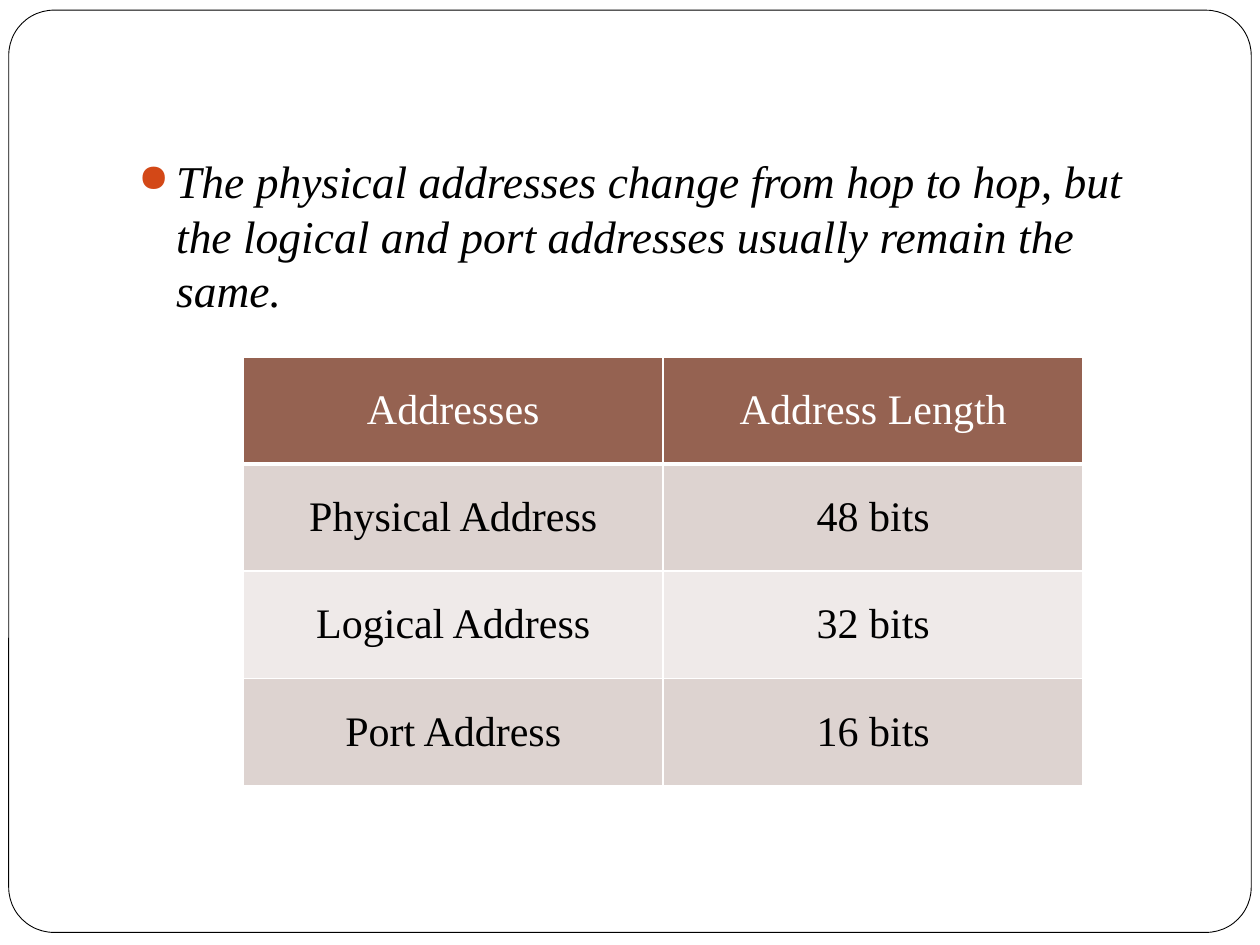
from lxml import etree
from pptx import Presentation
from pptx.dml.color import RGBColor
from pptx.enum.shapes import MSO_SHAPE
from pptx.enum.text import MSO_ANCHOR, PP_ALIGN
from pptx.oxml.ns import qn
from pptx.util import Pt

ROUNDED = MSO_SHAPE.ROUNDED_RECTANGLE
MIDDLE = MSO_ANCHOR.MIDDLE
LEFT, CENTER = PP_ALIGN.LEFT, PP_ALIGN.CENTER

STATEMENT = (
    "The physical addresses change from hop to hop, but the logical and port "
    "addresses usually remain the same."
)
ADDRESS_ROWS = [
    ("Addresses", "Address Length"),
    ("Physical Address", "48 bits"),
    ("Logical Address", "32 bits"),
    ("Port Address", "16 bits"),
]

THEME = {
    "font": "Times New Roman",
    "statement_size": 26,
    "table_size": 24,
    "white": "FFFFFF",
    "black": "000000",
    "bullet": "D34817",
    "header": "956251",
    "bands": ("DDD3D0", "EFEAE9"),
}
SLIDE_SIZE = (720, 540)
FRAME_BOX = (5, 5.8, 710, 527)
STATEMENT_BOX = (72, 84, 612, 390)
TABLE_BOX = (139, 204, 480, 244.8)
BULLET_INDENT = 21.6


def points(box):
    return [Pt(length) for length in box]


def rgb(name):
    return RGBColor.from_string(name)


def write(text_frame, text, size, color, align=LEFT, italic=False, before=0):
    paragraph = text_frame.paragraphs[0]
    paragraph.alignment = align
    paragraph.space_before = Pt(before)
    run = paragraph.add_run()
    run.text = text
    run.font.name = THEME["font"]
    run.font.size = Pt(size)
    run.font.italic = italic
    run.font.color.rgb = rgb(color)
    return paragraph


def add_bullet(paragraph, symbol, color, percent):
    properties = paragraph._p.get_or_add_pPr()
    properties.set("marL", str(Pt(BULLET_INDENT)))
    properties.set("indent", str(-Pt(BULLET_INDENT)))
    bullet_color = etree.SubElement(properties, qn("a:buClr"))
    etree.SubElement(bullet_color, qn("a:srgbClr"), val=color)
    etree.SubElement(properties, qn("a:buSzPct"), val=str(percent * 1000))
    etree.SubElement(properties, qn("a:buChar"), char=symbol)


def add_borders(cell, color, widths):
    properties = cell._tc.get_or_add_tcPr()
    for side, width in widths.items():
        border = etree.SubElement(properties, qn(f"a:ln{side}"), w=str(Pt(width)))
        fill = etree.SubElement(border, qn("a:solidFill"))
        etree.SubElement(fill, qn("a:srgbClr"), val=color)


def add_frame(slide):
    frame = slide.shapes.add_shape(ROUNDED, *points(FRAME_BOX))
    frame.adjustments[0] = 0.049
    frame.shadow.inherit = False
    frame.fill.solid()
    frame.fill.fore_color.rgb = rgb(THEME["white"])
    frame.line.color.rgb = rgb(THEME["black"])
    frame.line.width = Pt(0.5)


def add_statement(slide):
    text_frame = slide.shapes.add_textbox(*points(STATEMENT_BOX)).text_frame
    text_frame.word_wrap = True
    paragraph = write(text_frame, STATEMENT, THEME["statement_size"],
                      THEME["black"], italic=True, before=5.8)
    add_bullet(paragraph, "●", THEME["bullet"], 85)


def add_address_table(slide):
    table = slide.shapes.add_table(
        len(ADDRESS_ROWS), len(ADDRESS_ROWS[0]), *points(TABLE_BOX)).table
    for row, texts in enumerate(ADDRESS_ROWS):
        is_header = row == 0
        fill = THEME["header"] if is_header else THEME["bands"][(row - 1) % 2]
        color = THEME["white"] if is_header else THEME["black"]
        widths = {"L": 1, "R": 1, "T": 1, "B": 3 if is_header else 1}
        for column, text in enumerate(texts):
            cell = table.cell(row, column)
            cell.vertical_anchor = MIDDLE
            add_borders(cell, THEME["white"], widths)
            cell.fill.solid()
            cell.fill.fore_color.rgb = rgb(fill)
            write(cell.text_frame, text, THEME["table_size"], color, align=CENTER)


def main():
    deck = Presentation()
    deck.slide_width, deck.slide_height = points(SLIDE_SIZE)
    slide = deck.slides.add_slide(deck.slide_layouts[6])
    add_frame(slide)
    add_statement(slide)
    add_address_table(slide)
    deck.save("out.pptx")


if __name__ == "__main__":
    main()
